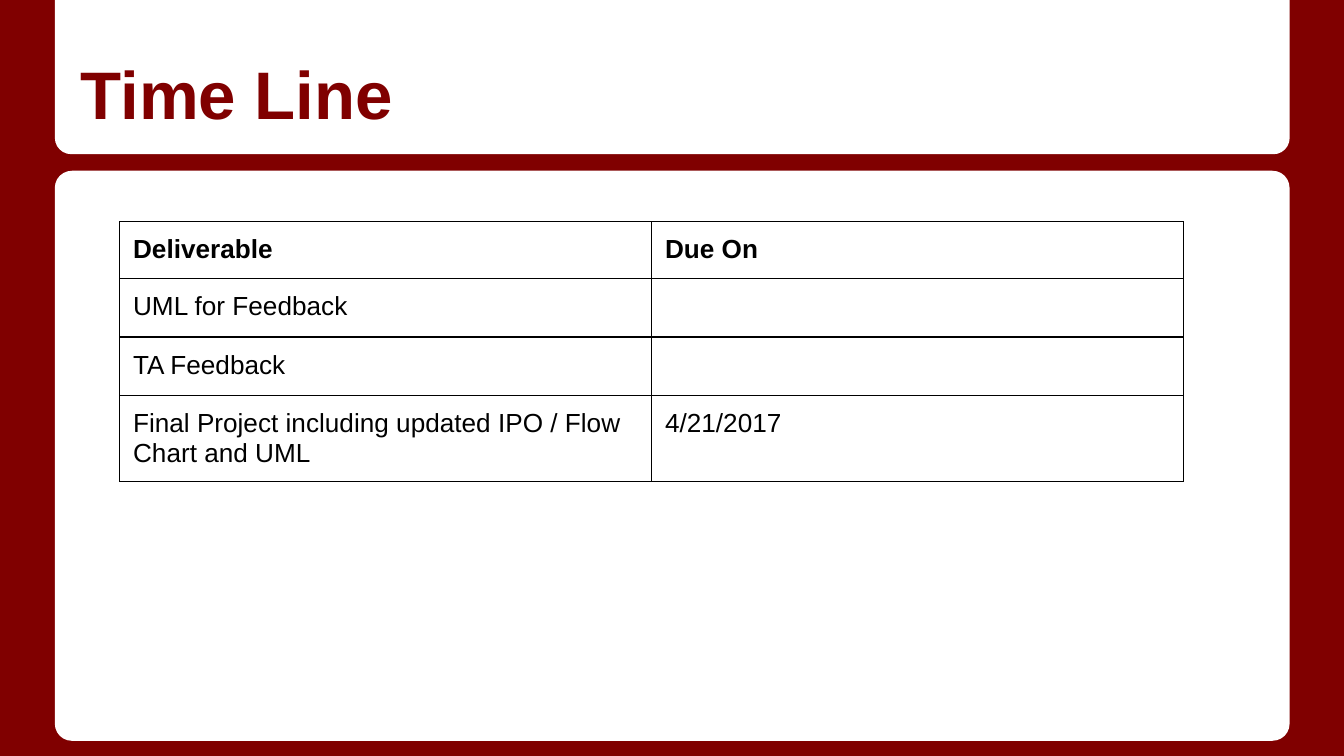
import dataclasses

import pptx
import pptx.dml.color
import pptx.enum.shapes
import pptx.enum.text
import pptx.oxml
import pptx.oxml.ns
import pptx.util
from lxml import etree

Pt = pptx.util.Pt
RGB = pptx.dml.color.RGBColor.from_string


@dataclasses.dataclass(frozen=True)
class Theme:
    """Colours, font and sizes in points."""
    maroon: str = "800000"
    paper: str = "FFFFFF"
    ink: str = "000000"
    font: str = "Arial"
    title_size: float = 36
    body_size: float = 14
    inset: float = 7.2
    rule: float = 0.75


THEME = Theme()
SCHEDULE = [
    ("Deliverable", "Due On"),
    ("UML for Feedback", ""),
    ("TA Feedback", ""),
    ("Final Project including updated IPO / Flow Chart and UML", "4/21/2017"),
]


def write(frame, text, size=THEME.body_size, color=THEME.ink, bold=False):
    """Write one left-aligned paragraph, keeping the line size when it is empty."""
    paragraph = frame.paragraphs[0]
    paragraph.alignment = pptx.enum.text.PP_ALIGN.LEFT
    if not text:
        etree.SubElement(paragraph._p, pptx.oxml.ns.qn("a:endParaRPr"), sz=str(int(size * 100)))
        return
    run = paragraph.add_run()
    run.text = text
    run.font.name = THEME.font
    run.font.size = Pt(size)
    run.font.bold = bold
    run.font.color.rgb = RGB(color)


def set_insets(holder):
    """Give a cell or text frame equal margins."""
    for side in ("left", "right", "top", "bottom"):
        setattr(holder, f"margin_{side}", Pt(THEME.inset))


def add_panel(slide, box, preset, adjustments, rotation=0):
    """Place a white panel with rounded corners."""
    panel = slide.shapes.add_shape(preset, *map(Pt, box))
    panel.shadow.inherit = False
    panel.fill.solid()
    panel.fill.fore_color.rgb = RGB(THEME.paper)
    panel.line.fill.background()
    panel.rotation = rotation
    for index, value in enumerate(adjustments):
        panel.adjustments[index] = value


def add_heading(slide, box, text):
    """Place the title in front of the panels."""
    heading = slide.shapes.title
    heading.left, heading.top, heading.width, heading.height = map(Pt, box)
    heading.element.getparent().append(heading.element)
    frame = heading.text_frame
    frame.word_wrap = True
    frame.auto_size = pptx.enum.text.MSO_AUTO_SIZE.NONE
    frame.vertical_anchor = pptx.enum.text.MSO_ANCHOR.BOTTOM
    set_insets(frame)
    write(frame, text, size=THEME.title_size, color=THEME.maroon, bold=True)


def add_borders(cell):
    """Rule all four sides of a cell."""
    properties = cell._tc.get_or_add_tcPr()
    for side in "LRTB":
        properties.append(pptx.oxml.parse_xml(
            f'<a:ln{side} {pptx.oxml.ns.nsdecls("a")} w="{Pt(THEME.rule)}">'
            f'<a:solidFill><a:srgbClr val="{THEME.ink}"/></a:solidFill></a:ln{side}>'))


def add_schedule(slide, box, entries):
    """Place the table of deliverables and due dates."""
    schedule = slide.shapes.add_table(len(entries), len(entries[0]), *map(Pt, box)).table
    schedule.horz_banding = False
    schedule.first_row = False
    for row, entry in enumerate(entries):
        for column, text in enumerate(entry):
            cell = schedule.cell(row, column)
            set_insets(cell)
            add_borders(cell)
            cell.fill.background()
            write(cell.text_frame, text, bold=row == 0)


def build_timeline(deck):
    """Build the time line slide."""
    slide = deck.slides.add_slide(deck.slide_layouts.get_by_name("Title Only"))
    slide.background.fill.solid()
    slide.background.fill.fore_color.rgb = RGB(THEME.maroon)
    presets = pptx.enum.shapes.MSO_SHAPE
    add_panel(slide, (29.4, 91.5, 661.5, 305.4), presets.ROUNDED_RECTANGLE, [0.03])
    add_panel(slide, (29.4, 0, 661.5, 82.6), presets.ROUND_2_SAME_RECTANGLE, [0.106, 0], 180)
    add_heading(slide, (36, 10.8, 648, 67.7), "Time Line")
    add_schedule(slide, (64.1, 118.8, 570, 121), SCHEDULE)


def main():
    """Create and save the deck."""
    deck = pptx.Presentation()
    deck.slide_width, deck.slide_height = Pt(720), Pt(405)
    build_timeline(deck)
    deck.save("out.pptx")


if __name__ == "__main__":
    main()
